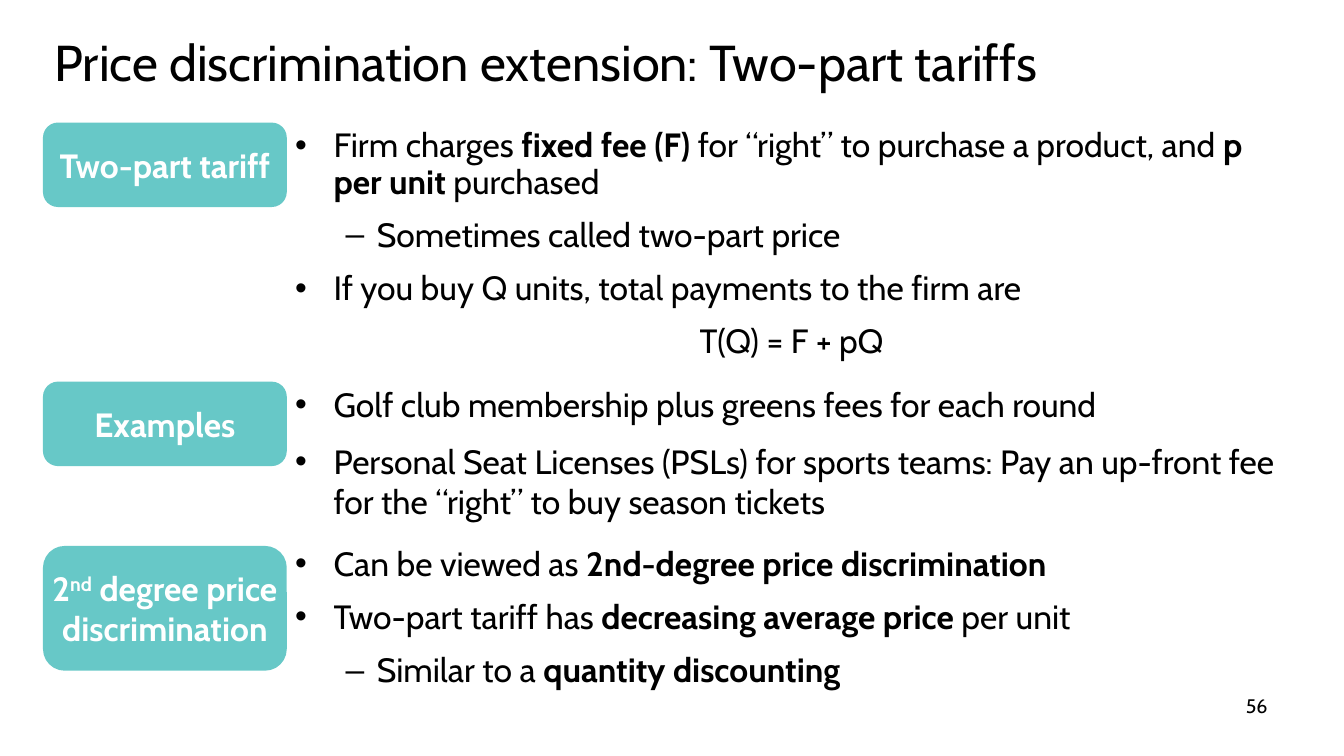
from dataclasses import dataclass

from lxml import etree
from pptx import Presentation
from pptx.dml.color import RGBColor
from pptx.enum import shapes, text
from pptx.oxml.ns import qn
from pptx.util import Inches, Pt


@dataclass(frozen=True)
class Theme:
    font: str = "Cabin"
    ink: RGBColor = RGBColor(0, 0, 0)
    accent: RGBColor = RGBColor(0x67, 0xC8, 0xC7)
    on_accent: RGBColor = RGBColor(255, 255, 255)
    title_size: int = 36
    body_size: int = 24
    number_size: int = 14


LABEL_LEFT, LABEL_WIDTH = 0.44, 2.39
BODY_LEFT, BODY_WIDTH = LABEL_LEFT + LABEL_WIDTH, 10.04
# kind: (level, bullet, left margin, first-line indent)
KINDS = {
    "point": (0, "•", 0.38, -0.38),
    "detail": (1, "–", 0.81, -0.31),
    "formula": (0, None, 0, 0),
}

# label, label top, label height, body top, body height, paragraphs (kind, text, line spacing)
# In text, *...* is bold and ^...^ is superscript.
SECTIONS = [
    ("Two-part tariff", 1.23, 0.81, 1.23, 2.42, [
        ("point", "Firm charges *fixed fee (F)* for “right” to purchase a product, "
                  "and *p per unit *purchased", 0.9),
        ("detail", "Sometimes called two-part price", 0.9),
        ("point", "If you buy Q units, total payments to the firm are", 0.9),
        ("formula", "T(Q) = F + pQ", 0.9),
    ]),
    ("Examples", 3.8, 0.81, 3.8, 1.44, [
        ("point", "Golf club membership plus greens fees for each round", 0.9),
        ("point", "Personal Seat Licenses (PSLs) for sports teams: Pay an up-front fee "
                  "for the “right” to buy season tickets", 1.0),
    ]),
    ("2^nd^ degree price discrimination", 5.43, 1.21, 5.38, 1.53, [
        ("point", "Can be viewed as *2nd-degree price discrimination*", 0.9),
        ("point", "Two-part tariff has *decreasing average price *per unit", 0.9),
        ("detail", "Similar to a *quantity discounting*", 0.9),
    ]),
]


class SlideBuilder:
    def __init__(self, presentation, theme):
        self.theme = theme
        self.slide = presentation.slides.add_slide(presentation.slide_layouts[5])

    def style(self, paragraph, size, color, alignment=text.PP_ALIGN.LEFT, bold=None):
        paragraph.alignment = alignment
        font = paragraph.font
        font.name, font.size, font.bold = self.theme.font, Pt(size), bold
        font.color.rgb = color

    def title(self, words, left, top, width, height):
        shape = self.slide.shapes.title
        shape.left, shape.top = Inches(left), Inches(top)
        shape.width, shape.height = Inches(width), Inches(height)
        frame = shape.text_frame
        frame.text = words
        frame.auto_size = text.MSO_AUTO_SIZE.NONE
        frame.vertical_anchor = text.MSO_ANCHOR.MIDDLE
        self.style(frame.paragraphs[0], self.theme.title_size, self.theme.ink)

    def text_frame(self, left, top, width, height):
        box = self.slide.shapes.add_textbox(
            Inches(left), Inches(top), Inches(width), Inches(height))
        box.text_frame.word_wrap = True
        return box.text_frame

    def label(self, words, top, height):
        shape = self.slide.shapes.add_shape(
            shapes.MSO_SHAPE.ROUNDED_RECTANGLE,
            Inches(LABEL_LEFT), Inches(top), Inches(LABEL_WIDTH), Inches(height))
        shape.shadow.inherit = False
        shape.fill.solid()
        shape.fill.fore_color.rgb = self.theme.accent
        shape.line.color.rgb = self.theme.accent
        shape.line.width = Pt(2)
        frame = shape.text_frame
        frame.word_wrap = True
        frame.margin_left = frame.margin_right = 0
        frame.vertical_anchor = text.MSO_ANCHOR.MIDDLE
        paragraph = frame.paragraphs[0]
        for index, part in enumerate(words.split("^")):
            run = paragraph.add_run()
            run.text = part
            if index % 2:
                run.font._element.set("baseline", "30000")
        self.style(paragraph, self.theme.body_size, self.theme.on_accent,
                   text.PP_ALIGN.CENTER, bold=True)

    def body(self, paragraphs, top, height):
        frame = self.text_frame(BODY_LEFT, top, BODY_WIDTH, height)
        for index, (kind, words, spacing) in enumerate(paragraphs):
            paragraph = frame.add_paragraph() if index else frame.paragraphs[0]
            self.set_bullet(paragraph, kind)
            paragraph.line_spacing = spacing
            paragraph.space_after = Pt(12)
            for position, part in enumerate(words.split("*")):
                if part:
                    run = paragraph.add_run()
                    run.text = part
                    if position % 2:
                        run.font.bold = True
            alignment = text.PP_ALIGN.CENTER if kind == "formula" else text.PP_ALIGN.LEFT
            self.style(paragraph, self.theme.body_size, self.theme.ink, alignment)

    def set_bullet(self, paragraph, kind):
        level, bullet, margin, indent = KINDS[kind]
        paragraph.level = level
        properties = paragraph._p.get_or_add_pPr()
        properties.set("marL", str(Inches(margin)))
        properties.set("indent", str(Inches(indent)))
        if bullet:
            etree.SubElement(properties, qn("a:buFont")).set("typeface", "Arial")
            etree.SubElement(properties, qn("a:buChar")).set("char", bullet)
        else:
            etree.SubElement(properties, qn("a:buNone"))

    def page_number(self, number, left, top, width, height):
        paragraph = self.text_frame(left, top, width, height).paragraphs[0]
        paragraph.text = number
        self.style(paragraph, self.theme.number_size, self.theme.ink, text.PP_ALIGN.RIGHT)


def main():
    presentation = Presentation()
    presentation.slide_width, presentation.slide_height = Inches(13.33), Inches(7.5)
    builder = SlideBuilder(presentation, Theme())
    builder.title("Price discrimination extension: Two-part tariffs", 0.44, 0.25, 12, 0.71)
    for label, label_top, label_height, body_top, body_height, paragraphs in SECTIONS:
        builder.body(paragraphs, body_top, body_height)
        builder.label(label, label_top, label_height)
    builder.page_number("56", 9.56, 6.83, 3.11, 0.52)
    presentation.save("out.pptx")


if __name__ == "__main__":
    main()
